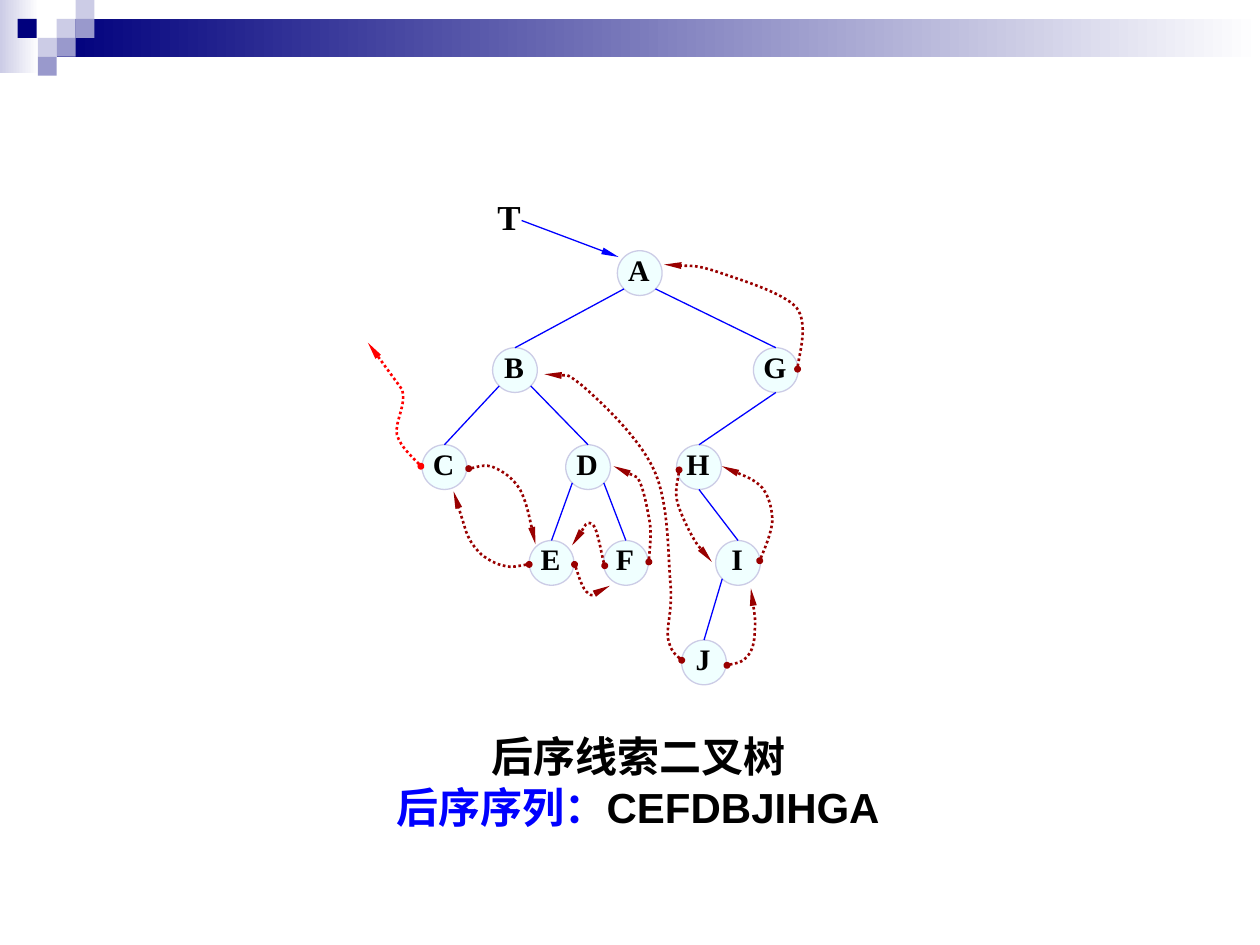
import lxml.etree
import pptx
import pptx.dml.color
import pptx.enum.dml
import pptx.enum.shapes
import pptx.enum.text
import pptx.oxml.ns
import pptx.util

SHAPE = pptx.enum.shapes.MSO_SHAPE
ALIGN = pptx.enum.text.PP_ALIGN
ANCHOR = pptx.enum.text.MSO_ANCHOR
qn = pptx.oxml.ns.qn

NAVY, LILAC, MAUVE, WHITE = "00007D", "CCCCE6", "9999CC", "FFFFFF"
BLUE, RED, MAROON, AZURE, BLACK = "0000FF", "FF0000", "990000", "F0FFFF", "000000"


def rgb(value):
    return pptx.dml.color.RGBColor.from_string(value)


def apply(target, values):
    for name, value in values.items():
        setattr(target, name, value)


class TreeSlide:
    """Draws the parts of a threaded tree on a grid of 100 columns by 75 rows."""

    node_size = 3.55
    label_format = {"size": pptx.util.Pt(17), "name": "Times New Roman", "bold": True}
    root_format = {**label_format, "size": pptx.util.Pt(20)}
    caption_format = {"size": pptx.util.Pt(24), "name": "Arial", "bold": True}

    def __init__(self, deck):
        self.cell = deck.slide_width / 100
        self.slide = deck.slides.add_slide(deck.slide_layouts[6])
        self.nodes = {}

    def grid(self, *cells):
        return [round(cell * self.cell) for cell in cells]

    def shape(self, kind, box, fill, edge=None):
        shape = self.slide.shapes.add_shape(kind, *self.grid(*box))
        shape.shadow.inherit = False
        if isinstance(fill, tuple):
            shape.fill.gradient()
            shape.fill.gradient_angle = 0
            for stop, color in zip(shape.fill.gradient_stops, fill):
                stop.color.rgb = rgb(color)
        else:
            shape.fill.solid()
            shape.fill.fore_color.rgb = rgb(fill)
        if edge:
            self.stroke(shape, edge, 0.75)
        else:
            shape.line.fill.background()
        return shape

    def stroke(self, shape, color, width, ends=(), dash=None):
        shape.line.color.rgb = rgb(color)
        apply(shape.line, {"width": pptx.util.Pt(width), "dash_style": dash})
        outline = shape.element.spPr.find(qn("a:ln"))
        for end, kind, length in ends:
            lxml.etree.SubElement(outline, qn(end), type=kind, w="sm", len=length)

    def text(self, box, paragraphs, font, frame_format, align=ALIGN.CENTER, spacing=None):
        frame = self.slide.shapes.add_textbox(*self.grid(*box)).text_frame
        apply(frame, frame_format)
        for index, pieces in enumerate(paragraphs):
            paragraph = frame.add_paragraph() if index else frame.paragraphs[0]
            apply(paragraph, {"alignment": align, "line_spacing": spacing})
            for words, color in pieces:
                run = paragraph.add_run()
                run.text = words
                apply(run.font, font)
                run.font.color.rgb = rgb(color)

    def node(self, letter, left, top):
        size = self.node_size
        self.nodes[letter] = self.shape(SHAPE.OVAL, (left, top, size, size), AZURE, LILAC)
        margins = dict.fromkeys(("margin_left", "margin_top", "margin_right", "margin_bottom"), 0)
        self.text((left + 0.75, top + 0.2, 1.9, 2.9), [[(letter, BLACK)]], self.label_format,
                  {**margins, "vertical_anchor": ANCHOR.MIDDLE, "word_wrap": True}, spacing=0.9)

    def line(self, start, end, ends=()):
        line = self.slide.shapes.add_connector(
            pptx.enum.shapes.MSO_CONNECTOR.STRAIGHT, *start, *end)
        self.stroke(line, BLUE, 0.75, ends)
        lxml.etree.SubElement(line.element.spPr, qn("a:effectLst"))
        return line

    def branch(self, parent, child, side):
        upper, lower = self.nodes[parent], self.nodes[child]
        shift, lift = self.grid(1.25 * side, 0.52 * abs(side))
        start = (upper.left + upper.width // 2 + shift, upper.top + upper.height - lift)
        self.line(start, (lower.left, lower.top)).end_connect(lower, 0)

    def thread(self, color, start, *segments):
        points = [self.grid(*segment[i:i + 2])
                  for segment in segments for i in range(0, len(segment), 2)]
        builder = self.slide.shapes.build_freeform(*self.grid(*start))
        builder.add_line_segments(points, close=False)
        curve = builder.convert_to_shape()
        curve.shadow.inherit = False
        curve.fill.background()
        self.stroke(curve, color, 1.5,
                    [("a:headEnd", "oval", "sm"), ("a:tailEnd", "triangle", "lg")],
                    pptx.enum.dml.MSO_LINE.ROUND_DOT)
        steps = iter(list(curve.element.iter(qn("a:lnTo"))))
        for segment in segments:
            group = [next(steps) for _ in range(len(segment) // 2)]
            if len(group) == 3:
                bend = lxml.etree.Element(qn("a:cubicBezTo"))
                group[0].addprevious(bend)
                for step in group:
                    bend.append(step[0])
                    step.getparent().remove(step)


BANNER = [
    (0, 0, 3.1, 5.8, (LILAC, WHITE)), (4.5, 1.5, 95.5, 3, (NAVY, WHITE)),
    *((left, top, 1.5, 1.5, color) for left, top, color in [
        (4.5, 1.5, LILAC), (6, 0, LILAC), (6, 1.5, MAUVE), (3, 3, LILAC),
        (1.4, 1.5, NAVY), (4.5, 3, MAUVE), (3, 4.5, MAUVE)]),
]
LEVELS = {
    19.9: {"A": 49},
    27.6: {"B": 39.1, "G": 59.8},
    35.3: {"C": 33.5, "D": 44.9, "H": 53.7},
    42.9: {"E": 42, "F": 47.9, "I": 56.8},
    50.8: {"J": 54.1},
}
BRANCHES = [("A", "B", -1), ("A", "G", 1), ("B", "C", -1), ("B", "D", 1), ("G", "H", 0),
            ("D", "E", -1), ("D", "F", 1), ("H", "I", 0), ("I", "J", -1)]
THREADS = [
    (RED, (33.4, 37), (33.1, 36.6, 31.8, 35.5, 31.5, 34.5),
     (31.3, 33.5, 32.3, 32.1, 31.9, 30.9), (29.2, 27.2)),
    (MAROON, (37.2, 37.2), (37.5, 37.2, 38.5, 36.8, 39.2, 37.1),
     (39.9, 37.4, 40.7, 37.9, 41.3, 38.9), (41.8, 39.9, 42.3, 42.3, 42.5, 43.2)),
    (MAROON, (42, 44.8), (41.6, 44.8, 40.6, 45.1, 40, 44.9),
     (39.4, 44.8, 38.7, 44.4, 38.2, 44), (37.7, 43.5, 37.3, 43, 37, 42.2), (36, 39)),
    (MAROON, (45.6, 44.8), (45.8, 45.2, 46.2, 46.8, 46.7, 47.1),
     (47.1, 47.4, 48.1, 46.6, 48.4, 46.5)),
    (MAROON, (48, 44.9), (47.8, 44.4, 47.4, 41.8, 47, 41.6),
     (46.5, 41.3, 45.7, 43, 45.4, 43.3)),
    (MAROON, (51.5, 44.6), (51.5, 44.1, 51.7, 42.7, 51.6, 41.6),
     (51.4, 40.5, 51.1, 38.7, 50.6, 37.9), (48.7, 37)),
    (MAROON, (53.9, 37.3), (53.9, 37.8, 53.5, 39, 53.8, 40),
     (54.1, 41, 54.9, 42.6, 55.4, 43.3), (56.5, 44.6)),
    (MAROON, (60.3, 44.5), (60.5, 44, 61.2, 42.4, 61.3, 41.4),
     (61.3, 40.5, 61.1, 39.5, 60.5, 38.7), (59.8, 38, 58, 37.3, 57.3, 37)),
    (MAROON, (54.1, 52.4), (53.9, 52.2, 53.2, 51.7, 53, 50.6),
     (52.9, 49.6, 53.4, 48.4, 53.2, 46.2), (53, 44, 53.1, 39.9, 51.9, 37.3),
     (50.7, 34.7, 47.7, 31.9, 46.2, 30.6), (44.7, 29.4, 43.8, 29.9, 43.2, 29.7)),
    (MAROON, (57.7, 52.8), (58, 52.7, 59, 52.6, 59.3, 52.1),
     (59.7, 51.7, 59.9, 51, 59.9, 50.1), (60, 49.2, 59.7, 47.4, 59.6, 46.7)),
    (MAROON, (63.3, 29.3), (63.3, 28.5, 64.2, 25.7, 63.2, 24.4),
     (62.1, 23.2, 58.7, 22.2, 57, 21.6), (55.2, 21, 53.6, 21.1, 52.7, 21)),
]


def main():
    deck = pptx.Presentation()
    apply(deck, {"slide_width": pptx.util.Inches(10), "slide_height": pptx.util.Inches(7.5)})
    tree = TreeSlide(deck)
    for *box, fill in BANNER:
        tree.shape(SHAPE.RECTANGLE, box, fill)
    for top, row in LEVELS.items():
        for letter, left in row.items():
            tree.node(letter, left, top)
    for branch in BRANCHES:
        tree.branch(*branch)
    tree.text((38.5, 15, 4.6, 4.4), [[("T", BLACK)]], tree.root_format,
              {"word_wrap": True}, ALIGN.JUSTIFY)
    tree.line(tree.grid(41.4, 17.5), tree.grid(49.1, 20.4), [("a:tailEnd", "triangle", "lg")])
    for thread in THREADS:
        tree.thread(*thread)
    tree.text((30.1, 57.5, 41.1, 9),
              [[("后序线索二叉树", BLACK)], [("后序序列：", BLUE), ("CEFDBJIHGA", BLACK)]],
              tree.caption_format,
              {"word_wrap": False, "auto_size": pptx.enum.text.MSO_AUTO_SIZE.SHAPE_TO_FIT_TEXT})
    deck.save("out.pptx")


if __name__ == "__main__":
    main()
